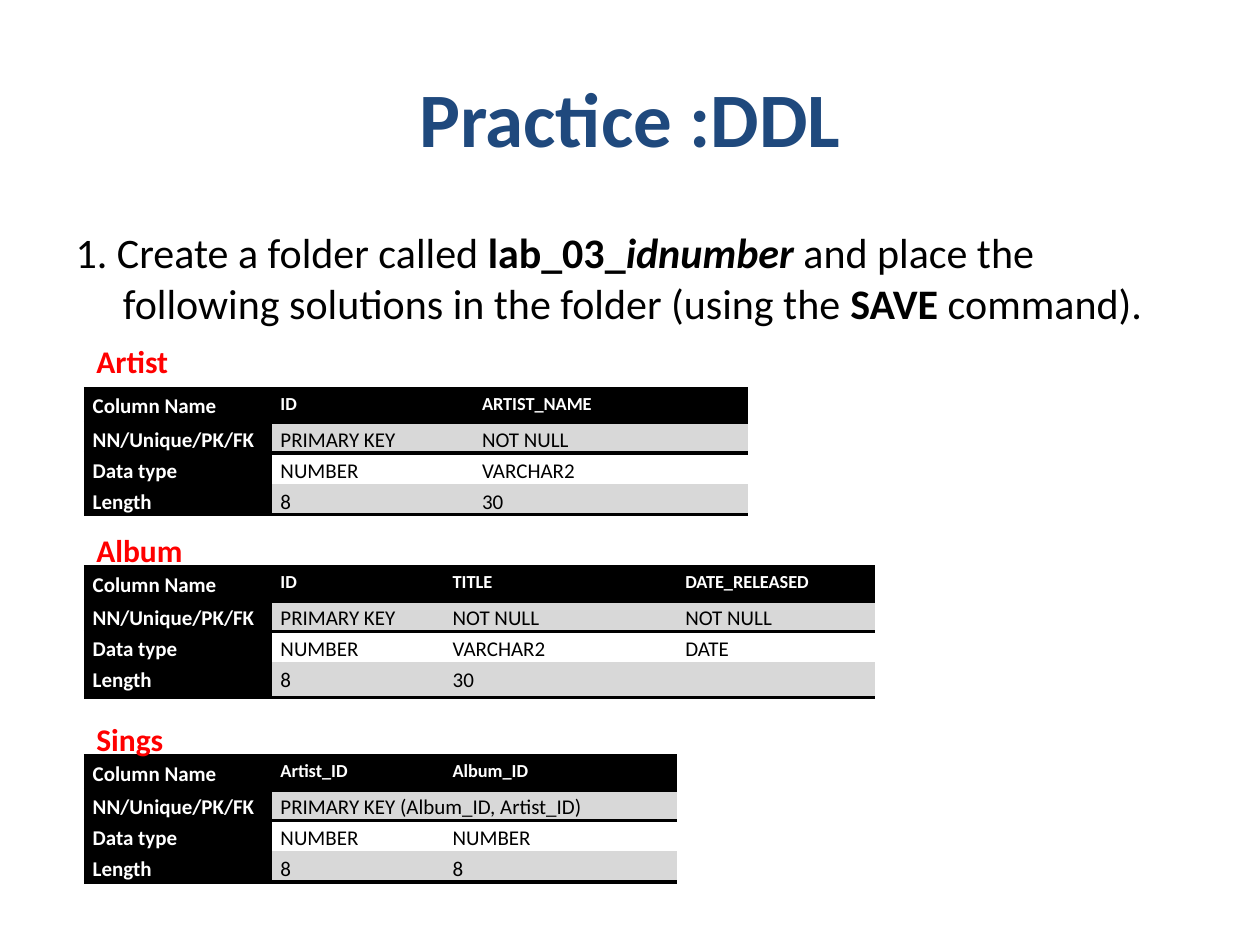
from lxml.etree import SubElement
from pptx import Presentation
from pptx.dml.color import RGBColor
from pptx.enum.text import MSO_ANCHOR as Anchor, MSO_AUTO_SIZE as AutoSize, PP_ALIGN as Align
from pptx.oxml import parse_xml
from pptx.oxml.ns import nsdecls, qn
from pptx.util import Pt

NO_TABLE_STYLE = "{2D5ABB26-0587-4C30-8999-92F81FD0307C}"
ROW_LABELS = ["Column Name", "NN/Unique/PK/FK", "Data type", "Length"]


def color(hex_text):
    return RGBColor.from_string(hex_text)


def write(paragraph, text, size=12, fill="000000", bold=False, italic=False, font="Calibri"):
    run = paragraph.add_run()
    run.text = text
    run.font.name = font
    run.font.size = Pt(size)
    run.font.bold = bold
    run.font.italic = italic
    run.font.color.rgb = color(fill)


def place(shape, left, top, width, height):
    shape.left, shape.top = Pt(left), Pt(top)
    shape.width, shape.height = Pt(width), Pt(height)


class SlideBuilder:
    black, white, band = "000000", "FFFFFF", "D8D8D8"
    title_blue, label_red = "1F497D", "FF0000"
    left = 48
    header_height, row_height = 19.4, 17.5

    def __init__(self, slide):
        self.slide = slide

    def title(self, text):
        heading = self.slide.shapes.title
        place(heading, 36, 21.6, 648, 90)
        frame = heading.text_frame
        frame.vertical_anchor = Anchor.MIDDLE
        frame.auto_size = AutoSize.NONE
        frame.paragraphs[0].alignment = Align.CENTER
        write(frame.paragraphs[0], text, size=44, fill=self.title_blue, bold=True)

    def instruction(self, parts):
        body = self.slide.placeholders[1]
        place(body, 36, 126, 648, 356.4)
        body.text_frame.auto_size = AutoSize.NONE
        paragraph = body.text_frame.paragraphs[0]
        paragraph.space_before = Pt(4.8)
        properties = paragraph._p.get_or_add_pPr()
        properties.set("marL", str(Pt(27)))
        properties.set("indent", str(-Pt(27)))
        SubElement(properties, qn("a:buNone"))
        for text, style in parts:
            write(paragraph, text, size=24, **style)

    def label(self, text, top, width):
        box = self.slide.shapes.add_textbox(Pt(self.left), Pt(top), Pt(width), Pt(29))
        box.text_frame.word_wrap = False
        box.text_frame.auto_size = AutoSize.SHAPE_TO_FIT_TEXT
        write(box.text_frame.paragraphs[0], text, size=18, fill=self.label_red, bold=True)

    def rule(self, cell, side):
        cell._tc.get_or_add_tcPr().insert(0, parse_xml(
            f'<a:{side} {nsdecls("a")} w="{Pt(2.25)}"><a:solidFill>'
            f'<a:srgbClr val="{self.black}"/></a:solidFill></a:{side}>'))

    def cell(self, cell, text, row, column):
        dark = row == 0 or column == 0
        cell.margin_left = cell.margin_right = Pt(5)
        cell.margin_top = cell.margin_bottom = 0
        if dark or row % 2:
            cell.fill.solid()
            cell.fill.fore_color.rgb = color(self.black if dark else self.band)
        else:
            cell.fill.background()
        if row < 2:
            self.rule(cell, "lnT")
        elif row == len(ROW_LABELS) - 1:
            self.rule(cell, "lnB")
        paragraph = cell.text_frame.paragraphs[0]
        paragraph.line_spacing = 1.2
        write(paragraph, text, size=10.5 if row == 0 and column else 12,
              fill=self.white if dark else self.black, bold=dark)

    def table(self, top, widths, rows, merged_row=None):
        height = self.header_height + 3 * self.row_height
        frame = self.slide.shapes.add_table(
            len(rows), len(widths), Pt(self.left), Pt(top), Pt(sum(widths)), Pt(height))
        table = frame.table
        table._tbl.tblPr.find(qn("a:tableStyleId")).text = NO_TABLE_STYLE
        for column, width in zip(table.columns, widths):
            column.width = Pt(width)
        for r, (name, values) in enumerate(zip(ROW_LABELS, rows)):
            table.rows[r].height = Pt(self.row_height if r else self.header_height)
            for c, text in enumerate([name, *values]):
                self.cell(table.cell(r, c), text, r, c)
        if merged_row is not None:
            table.cell(merged_row, 1).merge(table.cell(merged_row, len(widths) - 1))


def main():
    deck = Presentation()
    deck.slide_width, deck.slide_height = Pt(720), Pt(540)
    builder = SlideBuilder(deck.slides.add_slide(deck.slide_layouts[1]))
    builder.title("Practice :DDL")
    builder.instruction([
        ("1. Create a folder called ", {}),
        ("lab_03_", {"bold": True}),
        ("idnumber", {"bold": True, "italic": True}),
        (" and place the following solutions in the folder (using the ", {}),
        ("SAVE", {"bold": True}),
        (" command).", {}),
    ])
    builder.table(222, [107.3, 115.2, 157], [
        ["ID", "ARTIST_NAME"],
        ["PRIMARY KEY", "NOT NULL"],
        ["NUMBER", "VARCHAR2"],
        ["8", "30"],
    ])
    builder.table(324, [107.3, 98.4, 133, 113.6], [
        ["ID", "TITLE", "DATE_RELEASED"],
        ["PRIMARY KEY", "NOT NULL", "NOT NULL"],
        ["NUMBER", "VARCHAR2", "DATE"],
        ["8", "30", ""],
    ])
    builder.table(432, [107.3, 98.4, 133], [
        ["Artist_ID", "Album_ID"],
        ["PRIMARY KEY (Album_ID, Artist_ID)", ""],
        ["NUMBER", "NUMBER"],
        ["8", "8"],
    ], merged_row=1)
    for index, (name, width) in enumerate([("Artist", 56), ("Album", 64), ("Sings", 53)]):
        builder.label(name, 192 + 108 * index, width)
    deck.save("out.pptx")


if __name__ == "__main__":
    main()
